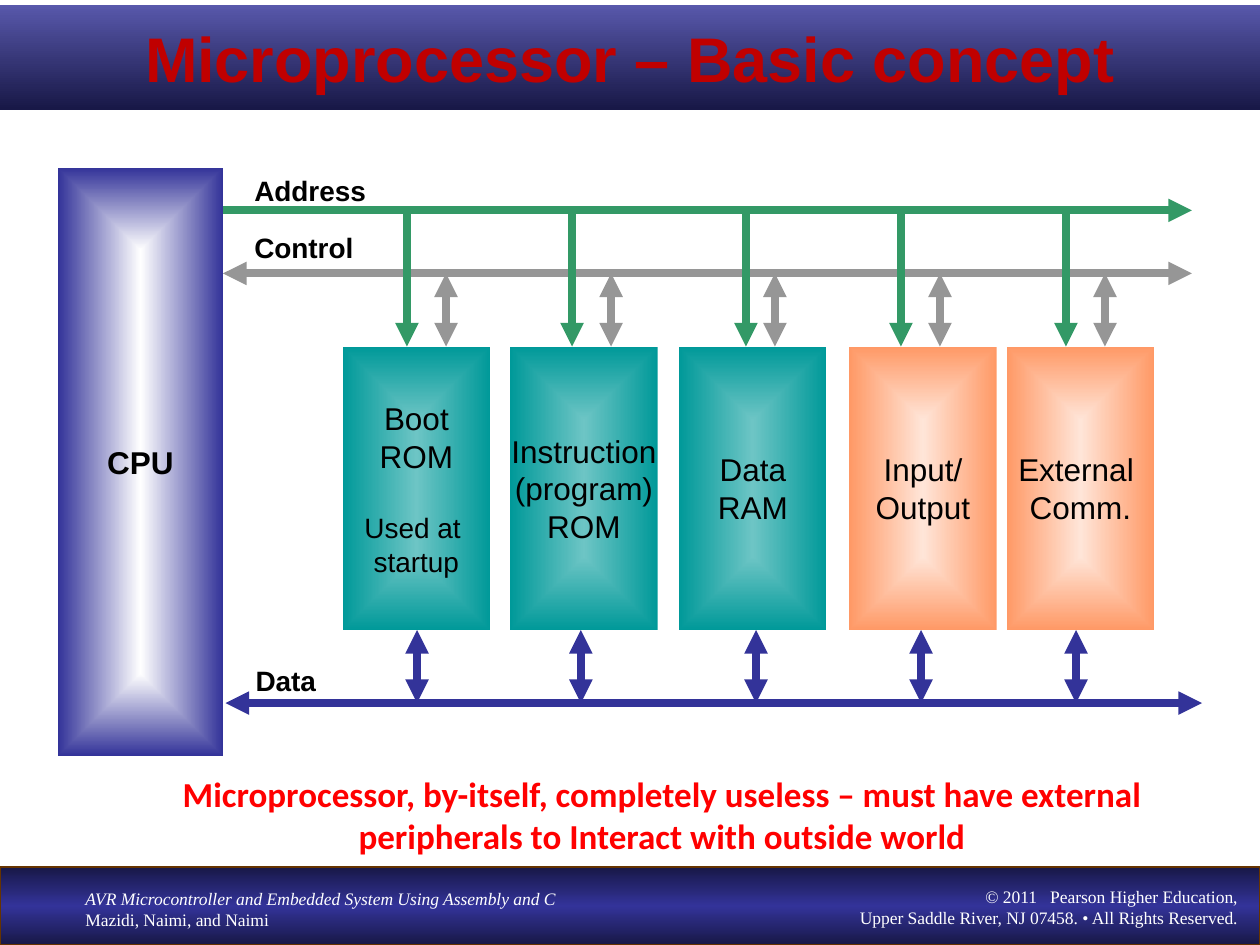
from typing import NamedTuple

from lxml.etree import SubElement
from pptx import Presentation
from pptx.dml.color import RGBColor
from pptx.enum.shapes import MSO_CONNECTOR, MSO_SHAPE
from pptx.enum.text import MSO_ANCHOR, PP_ALIGN
from pptx.oxml import parse_xml
from pptx.oxml.ns import nsdecls, qn
from pptx.util import Inches, Pt

HUES = {
    "navy": "333399", "night": "181847", "haze": "5858AB", "brown": "663300",
    "teal": "009999", "mint": "6DC5C5", "orange": "FF9966", "peach": "FFE5D8",
    "green": "339966", "gray": "969696", "red": "FF0000", "brick": "C00000",
    "black": "000000", "white": "FFFFFF",
}
ANGLE = '<a:lin ang="5400000" scaled="1"/>'
CENTER = ('<a:path path="rect"><a:fillToRect l="50000" t="50000" '
          'r="50000" b="50000"/></a:path>')
TOP, BOTTOM = 2.75, 5.0
ADDRESS, CONTROL, DATA = 1.67, 2.17, 5.58


class Para(NamedTuple):
    text: str
    size: float = 18
    font: str = "Arial"
    hue: str = "black"
    bold: bool = False
    italic: bool = False
    align: PP_ALIGN = PP_ALIGN.CENTER
    before: float = 0


class Block(NamedTuple):
    left: float
    inner: str
    outer: str
    paras: list[Para]
    address: float
    control: float
    data: float


class Bus(NamedTuple):
    name: str
    left: float
    right: float
    y: float
    hue: str
    both: bool
    label_left: float
    label_top: float


def color(name: str) -> RGBColor:
    return RGBColor.from_string(HUES[name])


def write(shape, paras: list[Para], wrap: bool, anchor=MSO_ANCHOR.MIDDLE) -> None:
    frame = shape.text_frame
    frame.word_wrap = wrap
    frame.vertical_anchor = anchor
    for i, para in enumerate(paras):
        line = frame.add_paragraph() if i else frame.paragraphs[0]
        line.text = para.text
        line.alignment = para.align
        if para.before:
            line.space_before = Pt(para.before)
        font = line.font
        font.name, font.size = para.font, Pt(para.size)
        font.bold, font.italic = para.bold, para.italic
        font.color.rgb = color(para.hue)


def add_text(slide, left: float, top: float, width: float, height: float,
             paras: list[Para], wrap: bool = True) -> None:
    box = slide.shapes.add_textbox(
        Inches(left), Inches(top), Inches(width), Inches(height))
    write(box, paras, wrap, MSO_ANCHOR.TOP)


def add_box(slide, left: float, top: float, width: float, height: float,
            hues: list[str], shade: str, paras: list[Para] = (),
            wrap: bool = True, edge: str = "") -> None:
    box = slide.shapes.add_shape(
        MSO_SHAPE.RECTANGLE,
        Inches(left), Inches(top), Inches(width), Inches(height))
    box.shadow.inherit = False
    # Evenly spaced gradient stops
    step = 100000 // (len(hues) - 1)
    stops = "".join(
        f'<a:gs pos="{i * step}"><a:srgbClr val="{HUES[hue]}"/></a:gs>'
        for i, hue in enumerate(hues))
    box.fill.background()
    props = box._element.spPr
    props.replace(props.find(qn("a:noFill")), parse_xml(
        f'<a:gradFill {nsdecls("a")} rotWithShape="1">'
        f'<a:gsLst>{stops}</a:gsLst>{shade}</a:gradFill>'))
    if edge:
        box.line.color.rgb = color(edge)
        box.line.width = Pt(0.75)
    else:
        box.line.fill.background()
    if paras:
        write(box, paras, wrap)


def add_arrow(slide, x1: float, y1: float, x2: float, y2: float,
              hue: str, both: bool) -> None:
    arrow = slide.shapes.add_connector(
        MSO_CONNECTOR.STRAIGHT, Inches(x1), Inches(y1), Inches(x2), Inches(y2))
    arrow.line.color.rgb = color(hue)
    arrow.line.width = Pt(4.5)
    line = arrow.line._get_or_add_ln()
    for end in ("headEnd", "tailEnd") if both else ("tailEnd",):
        SubElement(line, qn(f"a:{end}"), type="triangle")
    SubElement(arrow._element.spPr, qn("a:effectLst"))


def credit(text: str, align: PP_ALIGN, italic: bool = False) -> Para:
    return Para(text, 10, "Times New Roman", "white", italic=italic, align=align)


ROM = ("mint", "teal")
PORT = ("peach", "orange")
BLOCKS = [
    Block(2.72, *ROM, [Para("Boot\vROM"),
                       Para("Used at \vstartup", 16, before=20.7)],
          3.23, 3.54, 3.31),
    Block(4.05, *ROM, [Para("Instruction\v(program)\vROM")], 4.54, 4.85, 4.61),
    Block(5.39, *ROM, [Para("Data"), Para("RAM")], 5.92, 6.15, 6),
    Block(6.74, *PORT, [Para("Input/"), Para("Output")], 7.15, 7.46, 7.31),
    Block(7.99, *PORT, [Para("External "), Para("Comm.")], 8.46, 8.77, 8.54),
]
BUSES = [
    Bus("Data", 1.79, 9.54, DATA, "navy", True, 1.93, 5.22),
    Bus("Address", 1.77, 9.46, ADDRESS, "green", False, 1.92, 1.33),
    Bus("Control", 1.77, 9.46, CONTROL, "gray", True, 1.92, 1.78),
]


def main() -> None:
    deck = Presentation()
    deck.slide_width, deck.slide_height = Inches(10), Inches(7.5)
    slide = deck.slides.add_slide(deck.slide_layouts[6])

    # Footer band and credits
    add_box(slide, 0, 6.88, 10, 0.62, ["night", "navy", "night"], ANGLE,
            edge="brown")
    add_text(slide, 0.58, 7, 4.14, 0.44, [
        credit("AVR Microcontroller and Embedded System Using Assembly and C",
               PP_ALIGN.LEFT, True),
        credit("Mazidi, Naimi, and Naimi", PP_ALIGN.LEFT)])
    add_text(slide, 5.75, 6.98, 4.17, 0.44, [
        credit("© 2011   Pearson Higher Education,\v"
               "Upper Saddle River, NJ 07458. • All Rights Reserved.",
               PP_ALIGN.RIGHT)])

    # Title band
    add_box(slide, 0, 0.04, 10, 0.83, ["haze", "night"], ANGLE,
            [Para("Microprocessor – Basic concept", 36, hue="brick", bold=True)])

    # Processor, memories and ports
    add_box(slide, 0.46, 1.33, 1.31, 4.67, ["white", "navy"], CENTER,
            [Para("CPU", bold=True)])
    for block in BLOCKS:
        add_box(slide, block.left, TOP, 1.17, BOTTOM - TOP,
                [block.inner, block.outer], CENTER, block.paras, False)

    # Buses and their labels, with room for the longest name
    for bus in BUSES:
        add_arrow(slide, bus.left, bus.y, bus.right, bus.y, bus.hue, bus.both)
        add_text(slide, bus.label_left, bus.label_top, 1.2, 0.37,
                 [Para(bus.name, 16, bold=True, align=PP_ALIGN.LEFT)])

    # Links from each block to the buses
    for block in BLOCKS:
        add_arrow(slide, block.data, DATA, block.data, BOTTOM, "navy", True)
        add_arrow(slide, block.control, CONTROL, block.control, TOP, "gray", True)
        add_arrow(slide, block.address, ADDRESS, block.address, TOP, "green", False)

    # Closing remark
    add_text(slide, 0.82, 6.08, 8.87, 0.77, [
        Para("Microprocessor, by-itself, completely useless – must have external "
             "peripherals to Interact with outside world",
             20, "Calibri", "red", True)])

    deck.save("out.pptx")


if __name__ == "__main__":
    main()
